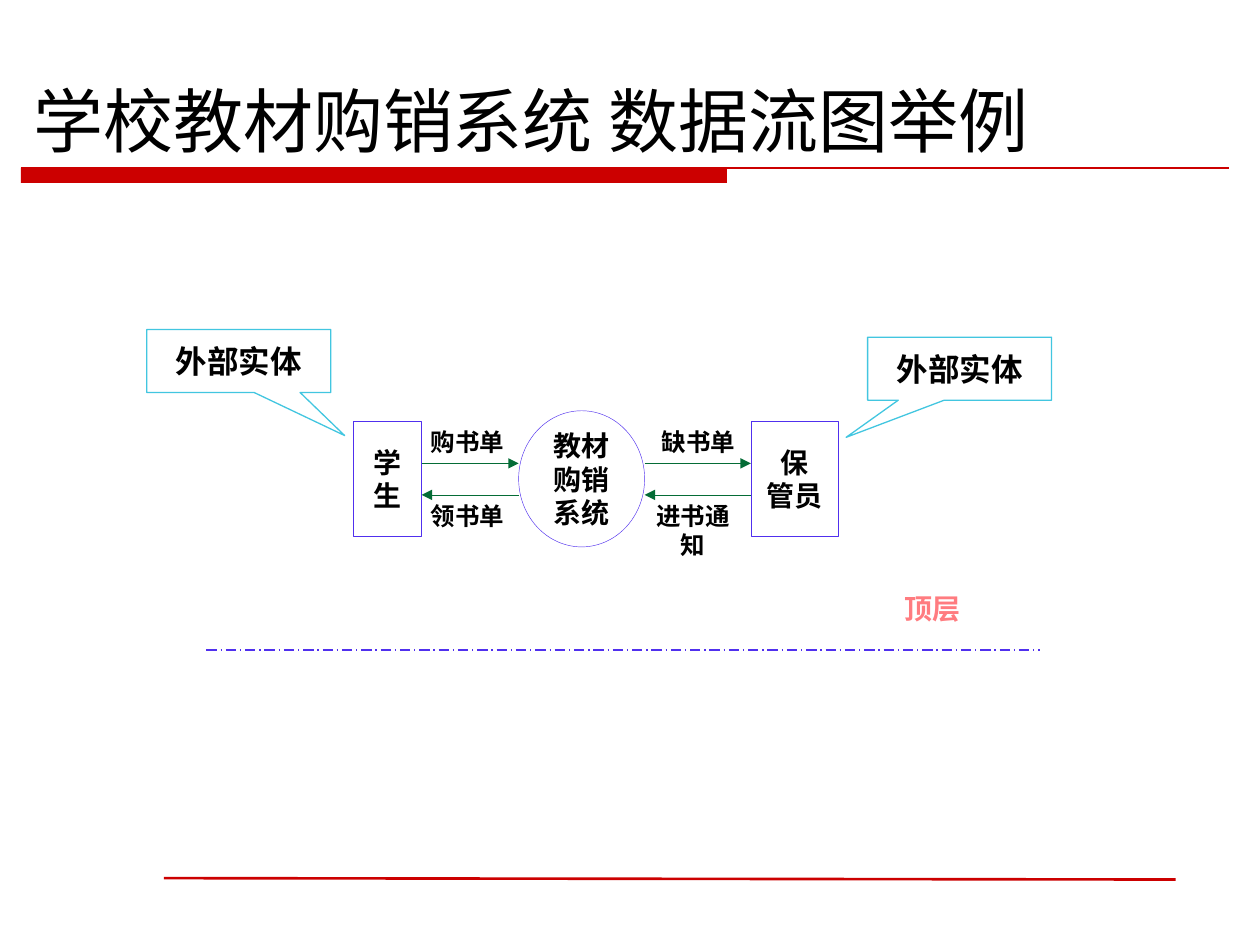
from pptx import Presentation
from pptx.dml.color import RGBColor
from pptx.enum.dml import MSO_LINE
from pptx.enum.shapes import MSO_CONNECTOR, MSO_SHAPE
from pptx.enum.text import MSO_ANCHOR, PP_ALIGN
from pptx.oxml.ns import qn
from pptx.util import Pt
from lxml.etree import SubElement

COLORS = {"black": "000000", "white": "FFFFFF", "red": "CC0000", "violet": "5030EE",
          "green": "046C36", "cyan": "42C6E0", "pink": "FF7C80"}
CJK_FONT = "Noto Sans CJK SC"
LATIN_FONT = "Times New Roman"

TITLE = "学校教材购销系统 数据流图举例"
LEVEL = "顶层"

# Diagram nodes: shape, (left, top, width, height), lines of text
STUDENT = (202.1, 240.5, 38.9, 66.2)
SYSTEM = (296.4, 234.7, 72, 77.8)
KEEPER = (429.1, 240.5, 49.7, 66.2)
NODES = [
    (MSO_SHAPE.RECTANGLE, STUDENT, ["学", "生"]),
    (MSO_SHAPE.OVAL, SYSTEM, ["教材", "购销", "系统"]),
    (MSO_SHAPE.RECTANGLE, KEEPER, ["保", "管员"]),
]
# Data flows between neighbours: upper row points right, lower row points left
UPPER_Y, LOWER_Y = 264.8, 282.8
FLOWS = [(STUDENT, SYSTEM, UPPER_Y, "tailEnd"), (STUDENT, SYSTEM, LOWER_Y, "headEnd"),
         (SYSTEM, KEEPER, UPPER_Y, "tailEnd"), (SYSTEM, KEEPER, LOWER_Y, "headEnd")]
FLOW_LABELS = [
    ("购书单", (239, 240.7, 60, 24.5), PP_ALIGN.LEFT),
    ("领书单", (239, LOWER_Y, 60, 24.5), PP_ALIGN.LEFT),
    ("缺书单", (368.6, 240.7, 61.2, 24.5), PP_ALIGN.CENTER),
    ("进书通知", (362.9, LOWER_Y, 66.2, 41), PP_ALIGN.CENTER),
]
# Callouts: text, box, pointer offset as fractions of the box
CALLOUTS = [
    ("外部实体", (83.9, 188.3, 105.1, 36), (0.576, 1.184)),
    ("外部实体", (495.8, 192.7, 105.1, 36), (-0.617, 1.09)),
]


def rgb(name):
    return RGBColor.from_string(COLORS[name])


def points(box):
    return [Pt(value) for value in box]


def write(shape, lines, size, font=LATIN_FONT, color="black", bold=True,
          align=PP_ALIGN.CENTER, anchor=MSO_ANCHOR.MIDDLE, wrap=True):
    frame = shape.text_frame
    frame.word_wrap = wrap
    frame.vertical_anchor = anchor
    for index, line in enumerate(lines):
        paragraph = frame.add_paragraph() if index else frame.paragraphs[0]
        paragraph.alignment = align
        run = paragraph.add_run()
        run.text = line
        run.font.size = Pt(size)
        run.font.bold = bold
        run.font.name = font
        run.font.color.rgb = rgb(color)
        SubElement(run._r.get_or_add_rPr(), qn("a:ea"), typeface=CJK_FONT)


def add_box(slide, kind, box, line=None, width=0.75, fill=None):
    shape = slide.shapes.add_shape(kind, *points(box))
    shape.shadow.inherit = False
    if fill:
        shape.fill.solid()
        shape.fill.fore_color.rgb = rgb(fill)
    else:
        shape.fill.background()
    if line:
        shape.line.color.rgb = rgb(line)
        shape.line.width = Pt(width)
    else:
        shape.line.fill.background()
    return shape


def add_line(slide, ends, color, width, dash=None, arrow=None):
    """Draw a straight line; arrow is headEnd (start) or tailEnd (finish)."""
    connector = slide.shapes.add_connector(MSO_CONNECTOR.STRAIGHT, *points(ends))
    connector.line.color.rgb = rgb(color)
    connector.line.width = Pt(width)
    if dash:
        connector.line.dash_style = dash
    properties = connector._element.spPr
    if arrow:
        SubElement(properties.get_or_add_ln(), qn("a:" + arrow), type="triangle")
    SubElement(properties, qn("a:effectLst"))


def main():
    presentation = Presentation()
    presentation.slide_width, presentation.slide_height = Pt(720), Pt(540)
    slide = presentation.slides.add_slide(presentation.slide_layouts[6])

    add_box(slide, MSO_SHAPE.RECTANGLE, (12, 96, 403.4, 8.5), fill="red")
    add_line(slide, (12, 96, 702, 96), "red", 0.75)
    add_line(slide, (93.6, 501.8, 671.8, 502.6), "red", 1.5)
    add_line(slide, (118, 371.5, 594, 371.5), "violet", 0.75,
             dash=MSO_LINE.LONG_DASH_DOT)

    title = slide.shapes.add_textbox(*points((12, 43.2, 702, 52.6)))
    write(title, [TITLE], 40, font=CJK_FONT, bold=False, align=PP_ALIGN.LEFT,
          anchor=MSO_ANCHOR.BOTTOM)
    level = slide.shapes.add_textbox(*points((505.4, 329.8, 55.4, 36)))
    write(level, [LEVEL], 16, font=CJK_FONT, color="pink")

    for kind, box, lines in NODES:
        write(add_box(slide, kind, box, "violet", 0.25, "white"), lines, 16, wrap=False)
    for source, target, y, arrow in FLOWS:
        add_line(slide, (source[0] + source[2], y, target[0], y), "green", 0.25,
                 arrow=arrow)
    for text, box, align in FLOW_LABELS:
        label = slide.shapes.add_textbox(*points(box))
        write(label, [text], 14, align=align, anchor=MSO_ANCHOR.TOP)
    for text, box, pointer in CALLOUTS:
        callout = add_box(slide, MSO_SHAPE.RECTANGULAR_CALLOUT, box, "cyan")
        callout.adjustments[0], callout.adjustments[1] = pointer
        write(callout, [text], 18)

    presentation.save("out.pptx")


if __name__ == "__main__":
    main()
